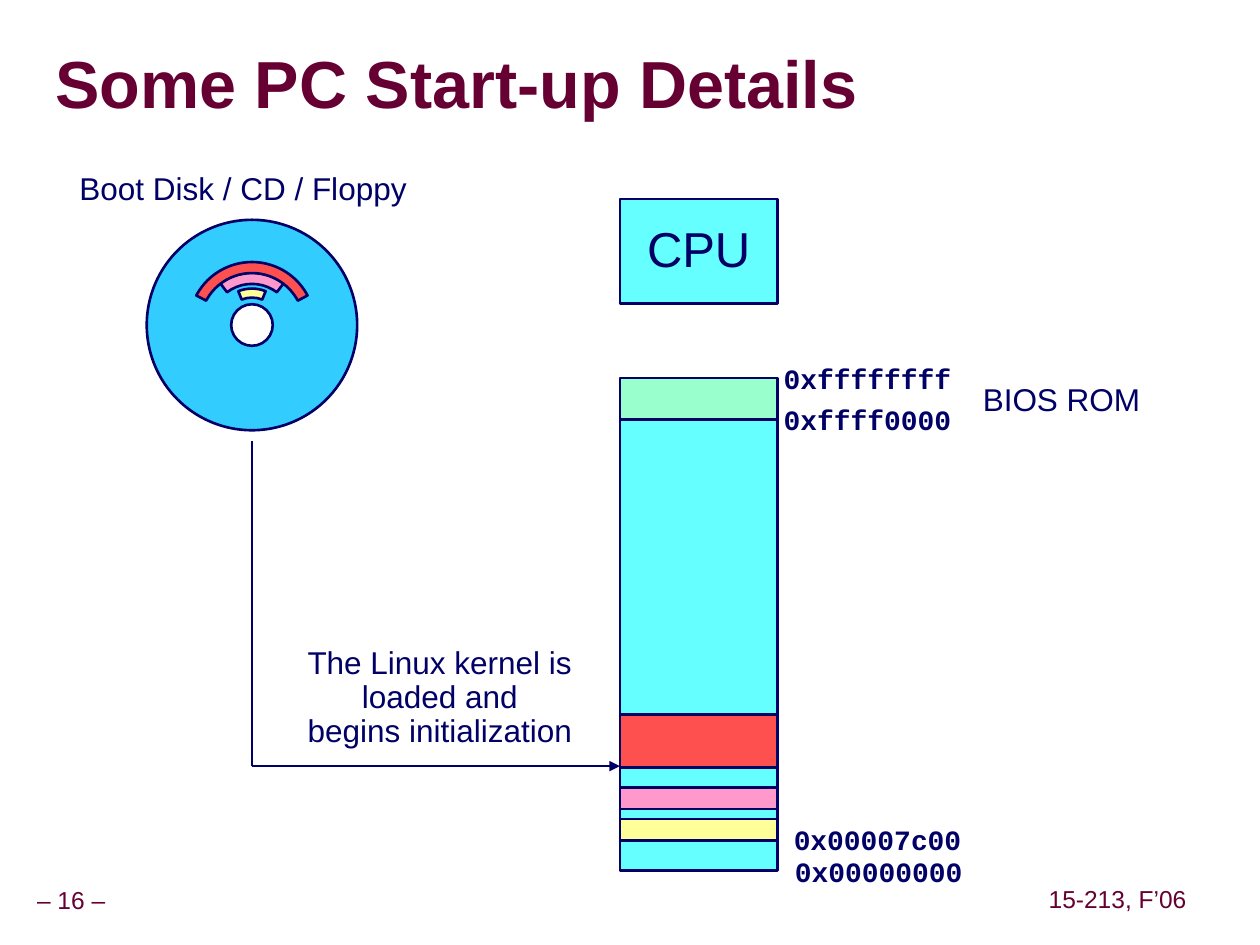
from dataclasses import dataclass

from lxml.etree import SubElement
from pptx import Presentation
from pptx.dml.color import RGBColor
from pptx.enum.shapes import MSO_CONNECTOR as Connector, MSO_SHAPE as Shape
from pptx.enum.text import MSO_ANCHOR as Anchor, MSO_AUTO_SIZE as AutoSize, PP_ALIGN as Align
from pptx.oxml.ns import qn
from pptx.util import Inches, Pt


@dataclass(frozen=True)
class Theme:
    """Colours, fonts and type sizes of the slide."""
    maroon: str = "660033"
    navy: str = "000066"
    cyan: str = "66FFFF"
    blue: str = "33CCFF"
    green: str = "99FFCC"
    red: str = "FF5050"
    pink: str = "FF99CC"
    yellow: str = "FFFF99"
    white: str = "FFFFFF"
    shadow: str = "969696"
    sans: str = "Arial"
    mono: str = "Courier New"
    title: int = 38
    heading: int = 28
    body: int = 18
    address: int = 16
    footer: int = 14
    line: float = 1.5


THEME = Theme()
MEMORY_LEFT, MEMORY_WIDTH = 4.92, 1.25
DISK_X, DISK_Y = 2, 2.58
ENTRY_Y = 6.08


def rgb(value):
    """Turn a hex string into a colour."""
    return RGBColor.from_string(value)


def write(shape, lines, size, color=THEME.navy, name=THEME.sans, bold=False,
          align=Align.CENTER, spacing=0.9, inset=0.05, wrap=False, anchor=Anchor.MIDDLE):
    """Fill a shape with evenly styled lines of text."""
    frame = shape.text_frame
    frame.word_wrap = wrap
    frame.vertical_anchor = anchor
    frame.margin_left = frame.margin_right = Inches(inset)
    frame.margin_top = frame.margin_bottom = Inches(inset)
    for index, line in enumerate(lines):
        para = frame.add_paragraph() if index else frame.paragraphs[0]
        para.add_run().text = line
        para.alignment = align
        para.line_spacing = spacing
        para.font.size = Pt(size)
        para.font.name = name
        para.font.bold = bold
        para.font.color.rgb = rgb(color)


def add_label(page, left, top, width, height, lines, size, **style):
    """Add a text box that fits its lines."""
    box = page.shapes.add_textbox(Inches(left), Inches(top), Inches(width), Inches(height))
    write(box, lines, size, **{"anchor": Anchor.TOP, **style})
    box.text_frame.auto_size = AutoSize.SHAPE_TO_FIT_TEXT
    return box


def add_title(page, text):
    """Add the title with its text shadow."""
    box = page.shapes.add_textbox(Inches(0.44), Inches(0.27), Inches(9.53), Inches(0.85))
    write(box, [text], THEME.title, color=THEME.maroon, bold=True, align=Align.LEFT,
          spacing=0.87, inset=0, wrap=True)
    span = box.text_frame.paragraphs[0].runs[0]
    effects = SubElement(span._r.get_or_add_rPr(), qn("a:effectLst"))
    shadow = SubElement(effects, qn("a:outerShdw"), dist="38100", dir="2700000")
    SubElement(shadow, qn("a:srgbClr"), val=THEME.shadow)


def add_figure(page, kind, left, top, width, height, fill):
    """Add an outlined preset shape."""
    shape = page.shapes.add_shape(kind, Inches(left), Inches(top), Inches(width), Inches(height))
    shape.shadow.inherit = False
    shape.fill.solid()
    shape.fill.fore_color.rgb = rgb(fill)
    shape.line.color.rgb = rgb(THEME.navy)
    shape.line.width = Pt(THEME.line)
    return shape


def add_block(page, top, height, fill):
    """Add a block in the memory column."""
    return add_figure(page, Shape.RECTANGLE, MEMORY_LEFT, top, MEMORY_WIDTH, height, fill)


def add_circle(page, diameter, fill):
    """Add a circle centred on the disk."""
    radius = diameter / 2
    add_figure(page, Shape.OVAL, DISK_X - radius, DISK_Y - radius, diameter, diameter, fill)


def add_sector(page, diameter, half_angle, thickness, fill):
    """Add a disk sector as an arc centred on the upward direction."""
    radius = diameter / 2
    arc = add_figure(page, Shape.BLOCK_ARC, DISK_X - radius, DISK_Y - radius,
                     diameter, diameter, fill)
    arc.adjustments[0] = (270 - half_angle) * 0.6
    arc.adjustments[1] = (270 + half_angle) * 0.6
    arc.adjustments[2] = thickness


def add_line(page, start, end, arrow=False):
    """Add a line, with an arrowhead at its start if wanted."""
    points = [Inches(value) for value in (*start, *end)]
    line = page.shapes.add_connector(Connector.STRAIGHT, *points)
    line.line.color.rgb = rgb(THEME.navy)
    line.line.width = Pt(THEME.line)
    if arrow:
        SubElement(line.line._get_or_add_ln(), qn("a:headEnd"), type="triangle")
    SubElement(line._element.spPr, qn("a:effectLst"))


def add_disk(page):
    """Draw the boot disk with its three sectors."""
    add_circle(page, 1.67, THEME.blue)
    add_circle(page, 0.33, THEME.white)
    sectors = [(0.58, 21.95, 0.124, THEME.yellow), (0.83, 37.24, 0.107, THEME.pink),
               (1, 62.02, 0.088, THEME.red)]
    for sector in sectors:
        add_sector(page, *sector)
    add_label(page, 0.58, 1.33, 2.7, 0.37, ["Boot Disk / CD / Floppy"], THEME.body)


def add_memory(page):
    """Draw the processor, the memory column and its addresses."""
    write(add_block(page, 1.58, 0.83, THEME.cyan), ["CPU"], THEME.heading)
    blocks = [(3.33, 3.58, THEME.cyan), (3, 0.33, THEME.green), (6.5, 0.17, THEME.yellow),
              (6.25, 0.17, THEME.pink), (5.67, 0.42, THEME.red)]
    for block in blocks:
        add_block(page, *block)
    addresses = [("0xffffffff", 6.17, 2.85), ("0xffff0000", 6.17, 3.18),
                 ("0x00007c00", 6.25, 6.51), ("0x00000000", 6.26, 6.76)]
    for address, left, top in addresses:
        add_label(page, left, top, 1.43, 0.34, [address], THEME.address,
                  name=THEME.mono, bold=True)
    add_label(page, 7.75, 3, 1.35, 0.37, ["BIOS ROM"], THEME.body)


def add_loading(page):
    """Draw the path from the disk to the kernel in memory."""
    add_line(page, (MEMORY_LEFT, ENTRY_Y), (DISK_X, ENTRY_Y), arrow=True)
    add_line(page, (DISK_X, ENTRY_Y), (DISK_X, 3.5))
    add_label(page, 2.39, 5.09, 2.2, 0.91,
              ["The Linux kernel is", "loaded and", "begins initialization"], THEME.body)


def add_footer(page):
    """Add the page number and the course name."""
    for text, left, top, width in [("– 16 –", -0.09, 7, 1.31), ("15-213, F’06", 8.27, 6.99, 1.2)]:
        add_label(page, left, top, width, 0.31, [text], THEME.footer,
                  color=THEME.maroon, anchor=Anchor.MIDDLE)


def main():
    """Build the deck and save it."""
    deck = Presentation()
    deck.slide_width, deck.slide_height = Inches(10), Inches(7.5)
    page = deck.slides.add_slide(deck.slide_layouts[6])
    add_footer(page)
    add_title(page, "Some PC Start-up Details")
    add_disk(page)
    add_memory(page)
    add_loading(page)
    deck.save("out.pptx")


if __name__ == "__main__":
    main()
